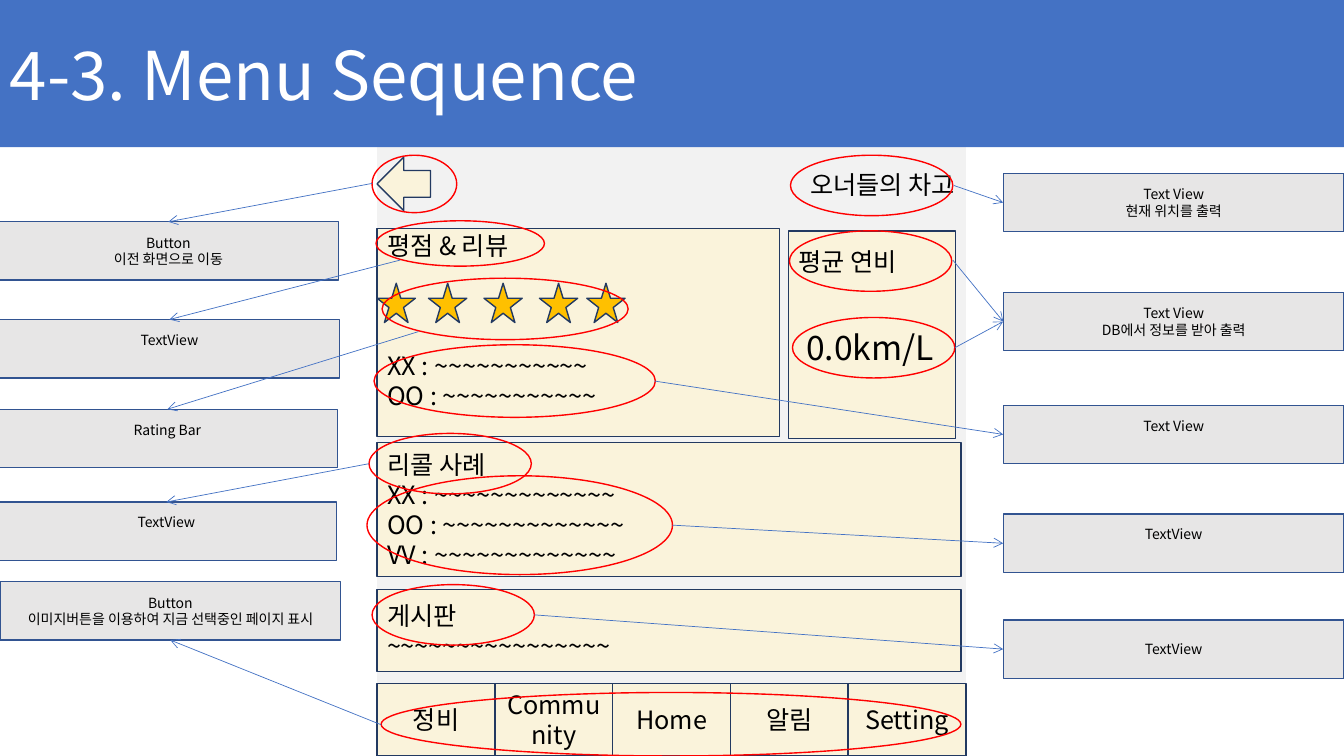
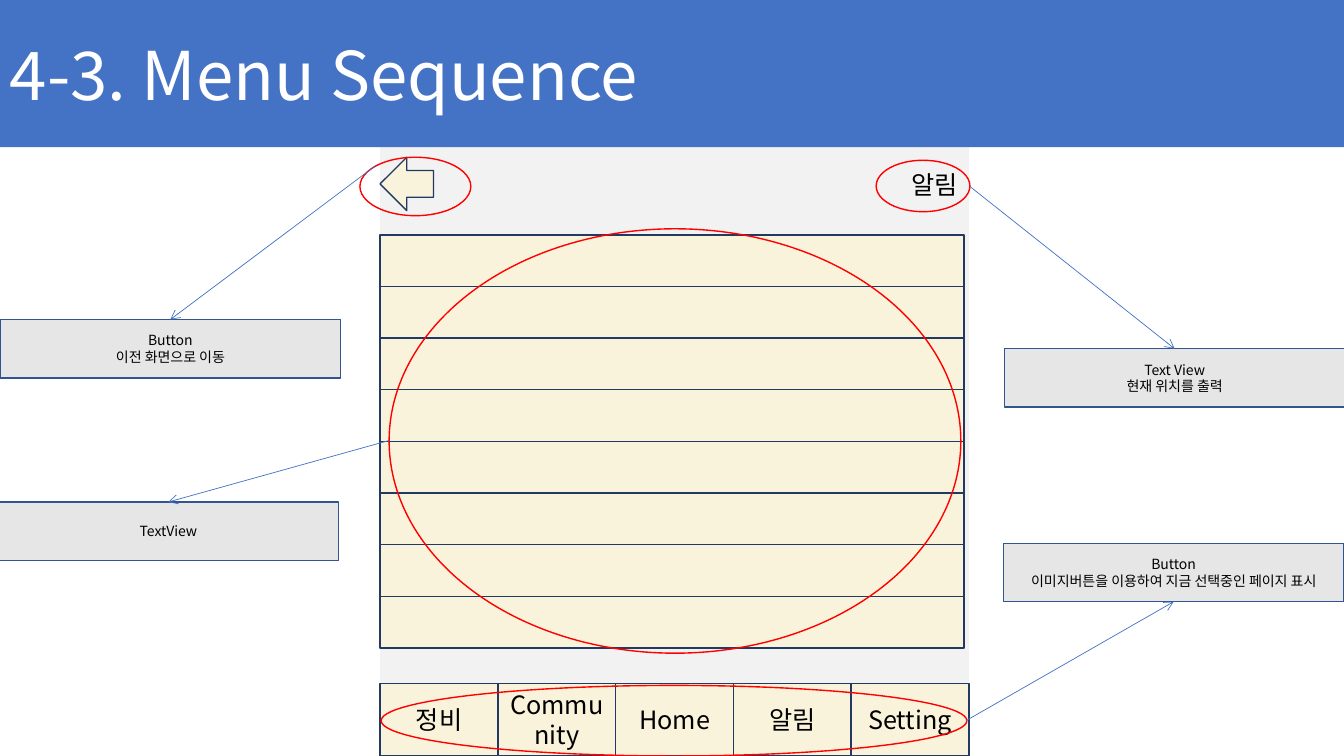
"""Build two annotated app-screen slides for the menu sequence."""
import pptx
import pptx.dml.color
import pptx.enum.shapes
import pptx.enum.text
import pptx.oxml
import pptx.oxml.ns
import pptx.util

Inches = pptx.util.Inches
Pt = pptx.util.Pt
Shape = pptx.enum.shapes.MSO_SHAPE
Align = pptx.enum.text.PP_ALIGN
Anchor = pptx.enum.text.MSO_ANCHOR


class Storyboard:
    FONT = "Noto Sans CJK KR"
    COLORS = {
        "band": "4472C4", "white": "FFFFFF", "black": "000000",
        "screen": "F2F2F2", "panel": "FAF3DB", "panel_edge": "223961",
        "label": "E7E6E6", "label_edge": "325491",
        "star": "FFC000", "mark": "FF0000",
    }
    LINE_HEIGHT = 1.19
    MENU = ["정비", "Community", "Home", "알림", "Setting"]
    LABEL_WIDTH, LABEL_HEIGHT = 3.38, 0.58

    def __init__(self):
        self.deck = pptx.Presentation()
        self.deck.slide_width = Inches(13.33)
        self.deck.slide_height = Inches(7.5)
        self.page = None

    def color(self, name):
        return pptx.dml.color.RGBColor.from_string(self.COLORS[name])

    def add_xml(self, parent, tag, **attributes):
        element = pptx.oxml.parse_xml(f"<a:{tag} {pptx.oxml.ns.nsdecls('a')}/>")
        for key, value in attributes.items():
            element.set(key, value)
        parent.append(element)

    def shape(self, kind, left, top, width, height, fill=None, line=None):
        box = self.page.shapes.add_shape(
            kind, Inches(left), Inches(top), Inches(width), Inches(height))
        box.shadow.inherit = False
        if fill:
            box.fill.solid()
            box.fill.fore_color.rgb = self.color(fill)
        else:
            box.fill.background()
        if line:
            box.line.color.rgb = self.color(line)
            box.line.width = Pt(1)
        else:
            box.line.fill.background()
        return box

    def fill_text(self, box, text, size=18, align=Align.LEFT, color="black",
                  inset=None, gap=0, tight=True):
        frame = box.text_frame
        frame.word_wrap = True
        frame.vertical_anchor = Anchor.MIDDLE
        if inset is not None:
            frame.vertical_anchor = Anchor.TOP
            frame.margin_top = Inches(inset)
        frame.text = text
        for number, para in enumerate(frame.paragraphs):
            para.alignment = align
            if tight:
                para.line_spacing = Pt(size * self.LINE_HEIGHT)
            if gap and number == 1:
                para.space_before = Pt(gap)
            for span in para.runs:
                span.font.size = Pt(size)
                span.font.name = self.FONT
                span.font.color.rgb = self.color(color)
                self.add_xml(span.font._element, "ea", typeface=self.FONT)

    def text(self, left, top, width, height, text, size=18, align=Align.CENTER):
        box = self.page.shapes.add_textbox(
            Inches(left), Inches(top), Inches(width), Inches(height))
        self.fill_text(box, text, size, align, tight=False)

    def panel(self, left, top, width, height, text="", **style):
        box = self.shape(Shape.RECTANGLE, left, top, width, height, "panel", "panel_edge")
        if text:
            self.fill_text(box, text, **style)

    def new_page(self, screen_left, location):
        self.page = self.deck.slides.add_slide(self.deck.slide_layouts[6])
        self.shape(Shape.RECTANGLE, screen_left, 1.45, 5.84, 6.05, "screen")
        band = self.shape(Shape.RECTANGLE, 0, 0, 13.33, 1.46, "band")
        self.fill_text(band, "4-3. Menu Sequence", 48, color="white", tight=False)
        cell = 5.84 / len(self.MENU)
        for number, name in enumerate(self.MENU):
            self.panel(screen_left + number * cell, 6.78, cell, 0.72, name, align=Align.CENTER)
        self.shape(Shape.LEFT_ARROW, screen_left, 1.56, 0.53, 0.53, "panel", "panel_edge")
        self.text(screen_left + 1.39, 1.47, 4.44, 0.72, location, align=Align.RIGHT)

    def star(self, left):
        self.shape(Shape.STAR_5_POINT, left, 2.81, 0.38, 0.39, "star", "panel_edge")

    def mark(self, left, top, width, height):
        self.shape(Shape.OVAL, left, top, width, height, line="mark")

    def arrow(self, start, end):
        line = self.page.shapes.add_connector(
            pptx.enum.shapes.MSO_CONNECTOR.STRAIGHT,
            *[Inches(value) for value in (*start, *end)])
        line.line.color.rgb = self.color("band")
        line.line.width = Pt(0.5)
        self.add_xml(line.line._get_or_add_ln(), "tailEnd", type="arrow")
        self.add_xml(line._element.spPr, "effectLst")

    def callout(self, left, top, text, edge, *starts, inset=None):
        width, height = self.LABEL_WIDTH, self.LABEL_HEIGHT
        box = self.shape(Shape.RECTANGLE, left, top, width, height, "label", "label_edge")
        self.fill_text(box, text, 10, Align.CENTER, inset=inset)
        target = {
            "top": (left + width / 2, top),
            "left": (left, top + height / 2),
            "bottom": (left + width / 2, top + height),
        }[edge]
        for start in starts:
            self.arrow(start, target)


BACK = "Button\n이전 화면으로 이동"
LOCATION = "Text View\n현재 위치를 출력"
TABS = "Button\n이미지버튼을 이용하여 지금 선택중인 페이지 표시"
RAISED = 0.12


def build_garage(board):
    board.new_page(3.74, "오너들의 차고")
    board.panel(3.74, 2.27, 3.99, 2.06,
                "평점 & 리뷰\nXX : ~~~~~~~~~~~\nOO : ~~~~~~~~~~~", inset=0.02, gap=64)
    board.panel(3.74, 4.39, 5.79, 1.33,
                "리콜 사례\nXX : ~~~~~~~~~~~~~\nOO : ~~~~~~~~~~~~~\nVV : ~~~~~~~~~~~~~")
    board.panel(7.82, 2.29, 1.66, 2.06, "평균 연비", inset=0.16)
    board.panel(3.74, 5.85, 5.79, 0.81, "게시판\n~~~~~~~~~~~~~~~~")
    for left in (3.74, 4.25, 4.8, 5.35, 5.82):
        board.star(left)
    board.text(7.89, 2.86, 1.48, 1.17, "0.0km/L", 24)

    for area in [
        (3.69, 1.54, 0.84, 0.57), (3.73, 2.19, 1.67, 0.45),
        (3.79, 2.76, 2.44, 0.61), (3.71, 3.42, 2.79, 0.72),
        (3.64, 4.72, 3.03, 0.98), (3.78, 6.87, 5.75, 0.63),
    ]:
        board.mark(*area)
    for left, top in [(7.83, 2.29), (7.84, 1.54), (7.86, 3.15), (3.69, 5.8), (3.66, 4.3)]:
        board.mark(left, top, 1.61, 0.6)

    board.callout(-0.02, 2.2, BACK, "top", (3.69, 1.82))
    board.callout(-0.01, 3.17, "TextView", "top", (3.97, 2.58), inset=RAISED)
    board.callout(-0.03, 4.06, "Rating Bar", "top", (4.15, 3.29), inset=RAISED)
    board.callout(-0.04, 4.98, "TextView", "top", (3.66, 4.6), inset=RAISED)
    board.callout(0, 5.77, TABS, "bottom", (3.78, 7.19))
    board.callout(9.95, 1.72, LOCATION, "left", (9.46, 1.84))
    board.callout(9.95, 2.9, "Text View\nDB에서 정보를 받아 출력", "left",
                  (9.45, 2.58), (9.47, 3.45))
    board.callout(9.95, 4.02, "Text View", "left", (6.49, 3.78), inset=RAISED)
    board.callout(9.95, 5.1, "TextView", "left", (6.67, 5.21), inset=RAISED)
    board.callout(9.95, 6.15, "TextView", "left", (5.3, 6.1))


def build_alerts(board):
    board.new_page(3.77, "알림")
    row_height = 4.1 / 8
    for row in range(8):
        board.panel(3.77, 2.33 + row * row_height, 5.79, row_height)

    for area in [
        (3.57, 1.56, 1.1, 0.58), (8.69, 1.59, 0.93, 0.51),
        (3.86, 2.27, 5.67, 4.21), (3.78, 6.8, 5.81, 0.7),
    ]:
        board.mark(*area)

    board.callout(0, 3.17, BACK, "top", (3.73, 1.64))
    board.callout(-0.02, 4.98, "TextView", "top", (3.86, 4.37))
    board.callout(9.96, 3.46, LOCATION, "top", (9.62, 1.85))
    board.callout(9.95, 5.39, TABS, "bottom", (9.58, 7.15))


def main():
    board = Storyboard()
    build_garage(board)
    build_alerts(board)
    board.deck.save("out.pptx")


if __name__ == "__main__":
    main()
